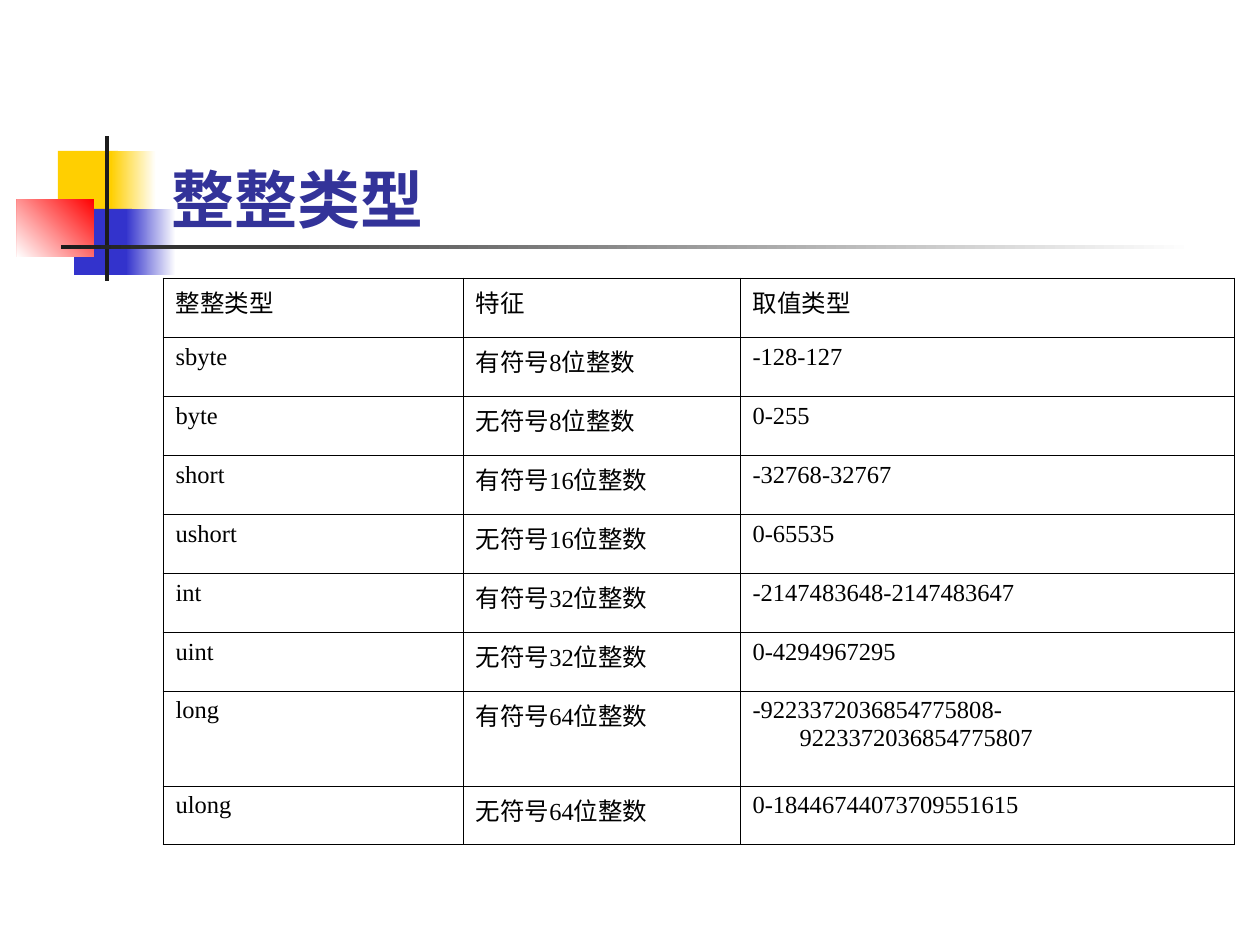
from dataclasses import dataclass

from lxml.etree import SubElement
from pptx import Presentation
from pptx.dml.color import RGBColor
from pptx.enum.shapes import MSO_SHAPE
from pptx.enum.text import MSO_ANCHOR
from pptx.oxml.ns import qn
from pptx.util import Emu, Pt


@dataclass(frozen=True)
class Theme:
    """Colours, font and type sizes of the slide."""
    font: str = "Times New Roman"
    head: int = 36
    body: int = 14
    rule: float = 0.45
    title: str = "333399"
    text: str = "000000"
    gold: str = "FFCF01"
    blue: str = "3333CC"
    red: str = "FF0000"
    dark: str = "1C1C1C"
    white: str = "FFFFFF"


THEME = Theme()
SCALE = 914400 / 126
ROWS = [
    ("整整类型", "特征", "取值类型"),
    ("sbyte", "有符号8位整数", "-128-127"),
    ("byte", "无符号8位整数", "0-255"),
    ("short", "有符号16位整数", "-32768-32767"),
    ("ushort", "无符号16位整数", "0-65535"),
    ("int", "有符号32位整数", "-2147483648-2147483647"),
    ("uint", "无符号32位整数", "0-4294967295"),
    ("long", "有符号64位整数", "-9223372036854775808-9223372036854775807"),
    ("ulong", "无符号64位整数", "0-18446744073709551615"),
]


def px(num):
    """Turn px into EMU."""
    return Emu(round(num * SCALE))


def rgb(code):
    """Turn a hex code into a colour."""
    return RGBColor.from_string(code)


def write(para, text, size, color, bold=False):
    """Add one styled run to a paragraph."""
    run = para.add_run()
    run.text = text
    font = run.font
    font.name, font.size, font.bold = THEME.font, Pt(size), bold
    font.color.rgb = rgb(color)


def block(slide, box, colors, angle=0):
    """Draw a borderless rectangle in one colour or a two-colour blend."""
    shape = slide.shapes.add_shape(MSO_SHAPE.RECTANGLE, *map(px, box))
    shape.shadow.inherit = False
    shape.line.fill.background()
    if len(colors) == 1:
        shape.fill.solid()
        shape.fill.fore_color.rgb = rgb(colors[0])
        return
    shape.fill.gradient()
    shape.fill.gradient_angle = angle
    for stop, color in zip(shape.fill.gradient_stops, colors):
        stop.color.rgb = rgb(color)


def add_marks(slide, box):
    """Draw the coloured squares and the crossing bars."""
    left, top, width, height = box
    t = THEME
    parts = [
        ((41, 15, 60, 66), [t.gold], 0),
        ((94, 15, 45, 66), [t.white, t.gold], 180),
        ((57, 73, 58, 66), [t.blue], 0),
        ((109, 73, 50, 66), [t.white, t.blue], 180),
        ((0, 63, 77, 58), [t.red, t.white], 225),
        ((88, 0, 4, height), [t.dark], 0),
        ((44, 109, width - 44, 4), [t.white, t.dark], 180),
    ]
    for (x, y, w, h), colors, angle in parts:
        block(slide, (left + x, top + y, w, h), colors, angle)


def add_title(slide, box, text):
    """Place the heading at the foot of its box."""
    frame = slide.shapes.add_textbox(*map(px, box)).text_frame
    frame.word_wrap = True
    frame.vertical_anchor = MSO_ANCHOR.BOTTOM
    write(frame.paragraphs[0], text, THEME.head, THEME.title, True)


def add_edges(cell):
    """Rule all four sides of a cell."""
    props = cell._tc.get_or_add_tcPr()
    for side in ("lnL", "lnR", "lnT", "lnB"):
        line = SubElement(props, qn(f"a:{side}"), w=str(Pt(THEME.rule)))
        fill = SubElement(line, qn("a:solidFill"))
        SubElement(fill, qn("a:srgbClr"), val=THEME.text)


def fill_cell(cell, text):
    """Write a cell with a hanging indent and plain ruled sides."""
    add_edges(cell)
    cell.fill.background()
    para = cell.text_frame.paragraphs[0]
    props = para._p.get_or_add_pPr()
    props.set("marL", str(px(47)))
    props.set("indent", str(-px(47)))
    write(para, text, THEME.body, THEME.text)


def add_grid(slide, box, rows):
    """Build the table of types, with a taller row for the long range."""
    frame = slide.shapes.add_table(len(rows), len(rows[0]), *map(px, box))
    table = frame.table
    table.first_row = table.horz_banding = False
    for col, width in zip(table.columns, (300, 277, box[2] - 577)):
        col.width = px(width)
    for row, texts in zip(table.rows, rows):
        row.height = px(95 if texts[0] == "long" else 59)
        for cell, text in zip(row.cells, texts):
            fill_cell(cell, text)


def main():
    """Build and save the slide."""
    deck = Presentation()
    deck.slide_width, deck.slide_height = px(1260), px(945)
    slide = deck.slides.add_slide(deck.slide_layouts[6])
    add_marks(slide, (17, 136, 1177, 145))
    add_title(slide, (159, 84, 1074, 158), "整整类型")
    add_grid(slide, (163, 278, 1071, 567), ROWS)
    deck.save("out.pptx")


if __name__ == "__main__":
    main()
